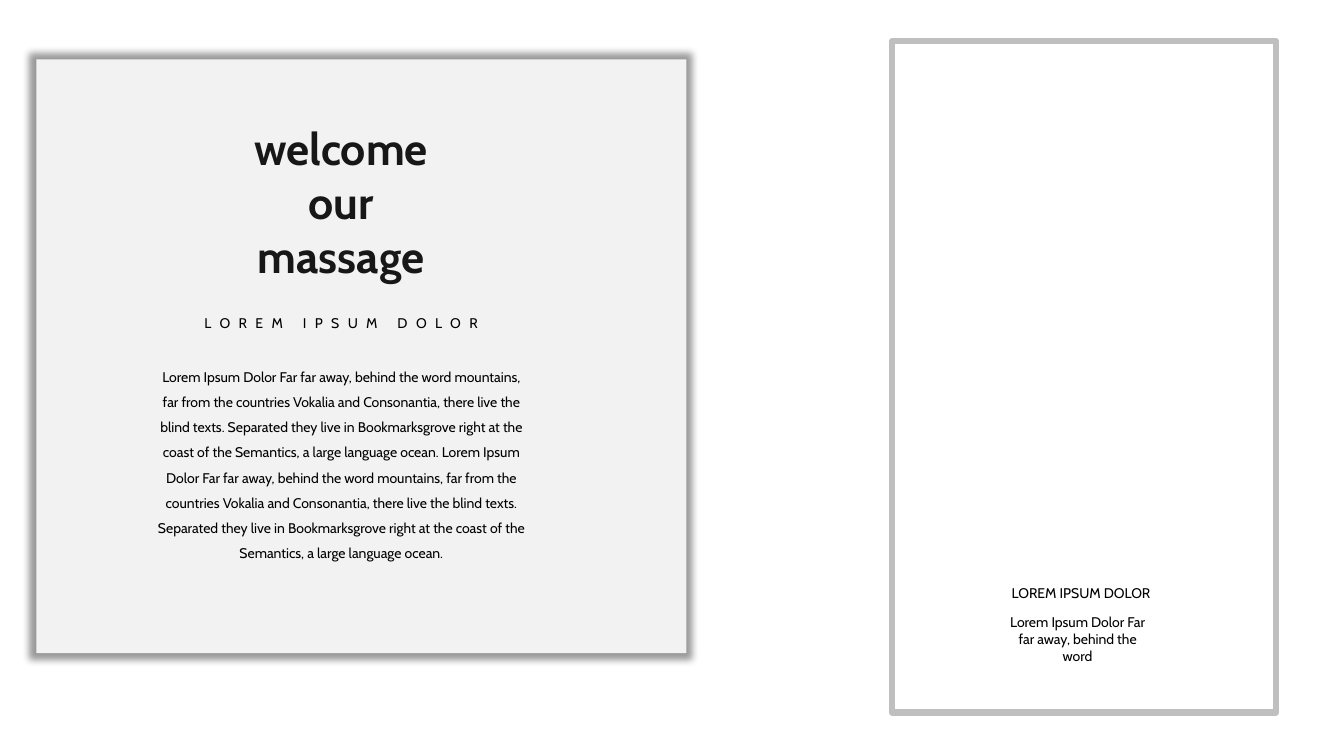
from lxml import etree
from pptx import Presentation
from pptx.dml.color import RGBColor
from pptx.enum import shapes, text
from pptx.oxml import ns
from pptx.util import Pt

# Content
FONT, BLACK = "Cabin", "000000"
TITLE = ["welcome", "our", "massage"]
LABEL = "LOREM IPSUM DOLOR"
PASSAGE = (
    "Lorem Ipsum Dolor Far far away, behind the word mountains, "
    "far from the countries Vokalia and Consonantia, there live the blind texts. "
    "Separated they live in Bookmarksgrove right at the coast of the Semantics, "
    "a large language ocean."
)
BODY = " ".join([PASSAGE] * 2)
CAPTION = "Lorem Ipsum Dolor Far far away, behind the word"

# Places: left, top, width, height in points
PANEL = (25.9, 42.5, 464.4, 424.1)
FRAME = (637.2, 29.5, 274.3, 479.5)
TITLE_BOX = (97.2, 82.8, 293, 123.8)
SUBTITLE_BOX = (126, 221, 235.4, 19.4)
BODY_BOX = (103, 253.4, 281.5, 150.5)
HEADING_BOX = (654.5, 414, 235.4, 19.4)
CAPTION_BOX = (709.2, 434.9, 121, 31.7)

deck = Presentation()
deck.slide_width, deck.slide_height = Pt(960), Pt(540)
slide = deck.slides.add_slide(deck.slide_layouts[6])


def colour(value):
    return RGBColor.from_string(value)


def add_rectangle(place, fill=None, line=None, weight=0):
    rectangle = slide.shapes.add_shape(
        shapes.MSO_SHAPE.RECTANGLE, *map(Pt, place))
    rectangle.shadow.inherit = False
    if fill:
        rectangle.fill.solid()
        rectangle.fill.fore_color.rgb = colour(fill)
    else:
        rectangle.fill.background()
    if line:
        rectangle.line.color.rgb = colour(line)
        rectangle.line.width = Pt(weight)
    else:
        rectangle.line.fill.background()
    return rectangle


def add_glow_shadow(rectangle, blur, opacity, scale):
    """Spread a centred soft shadow evenly around the rectangle."""
    effects = rectangle._element.spPr.find(ns.qn("a:effectLst"))
    shadow = etree.SubElement(
        effects, ns.qn("a:outerShdw"), blurRad=str(Pt(blur)),
        sx=str(scale * 1000), sy=str(scale * 1000), algn="ctr", rotWithShape="0")
    tint = etree.SubElement(shadow, ns.qn("a:srgbClr"), val=BLACK)
    etree.SubElement(tint, ns.qn("a:alpha"), val=str(opacity * 1000))


def add_text(place, lines, size=10, ink=BLACK, bold=False, line_spacing=None,
             letter_spacing=0):
    frame = slide.shapes.add_textbox(*map(Pt, place)).text_frame
    frame.word_wrap = True
    frame.auto_size = text.MSO_AUTO_SIZE.SHAPE_TO_FIT_TEXT
    for index, line in enumerate(lines):
        paragraph = frame.add_paragraph() if index else frame.paragraphs[0]
        paragraph.alignment = text.PP_ALIGN.CENTER
        paragraph.line_spacing = line_spacing
        run = paragraph.add_run()
        run.text = line
        run.font.name, run.font.size, run.font.bold = FONT, Pt(size), bold
        run.font.color.rgb = colour(ink)
        if letter_spacing:
            run.font._element.set("spc", str(letter_spacing * 100))


# Welcome panel
panel = add_rectangle(PANEL, fill="F2F2F2")
add_glow_shadow(panel, blur=5, opacity=40, scale=102)
add_text(SUBTITLE_BOX, [LABEL], letter_spacing=6)
add_text(BODY_BOX, [BODY], line_spacing=1.5)

# Framed caption
add_rectangle(FRAME, line="BFBFBF", weight=4.5)
add_text(HEADING_BOX, [LABEL])
add_text(CAPTION_BOX, [CAPTION])

# Title
add_text(TITLE_BOX, TITLE, size=32, ink="181717", bold=True)

deck.save("out.pptx")
